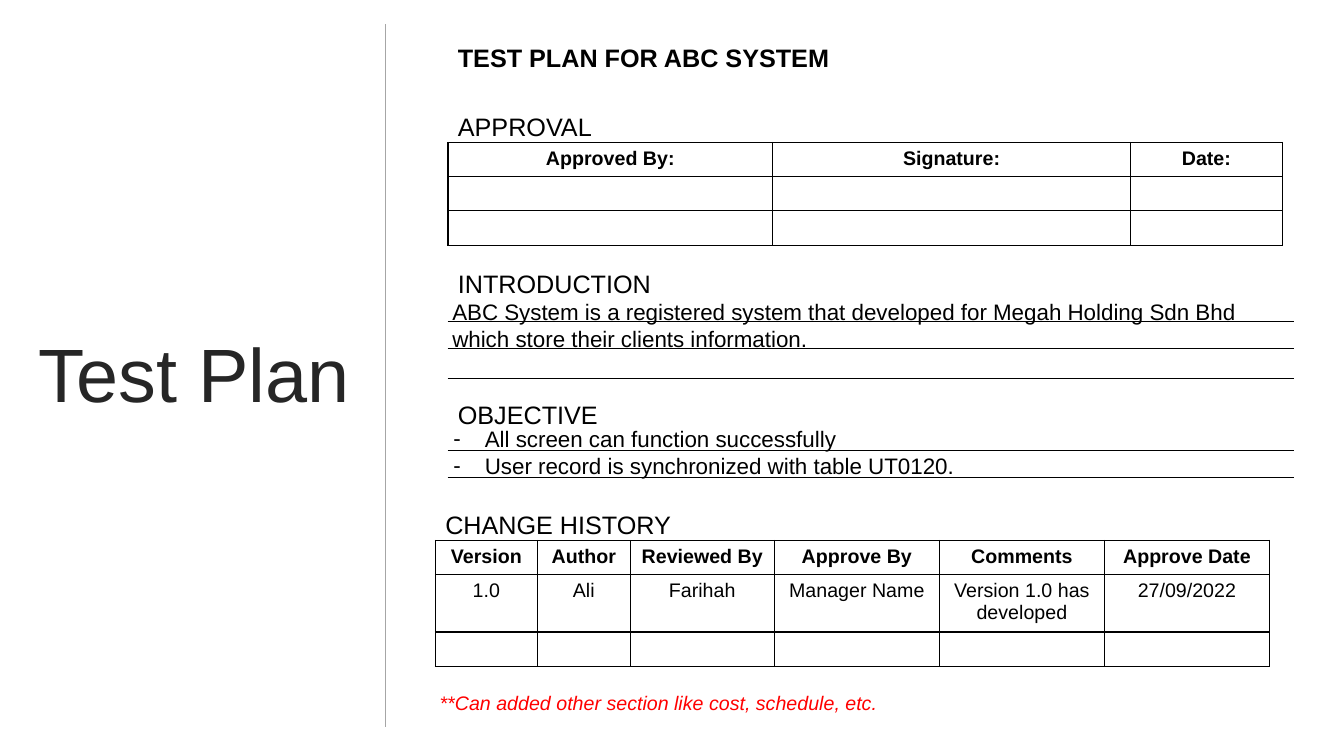
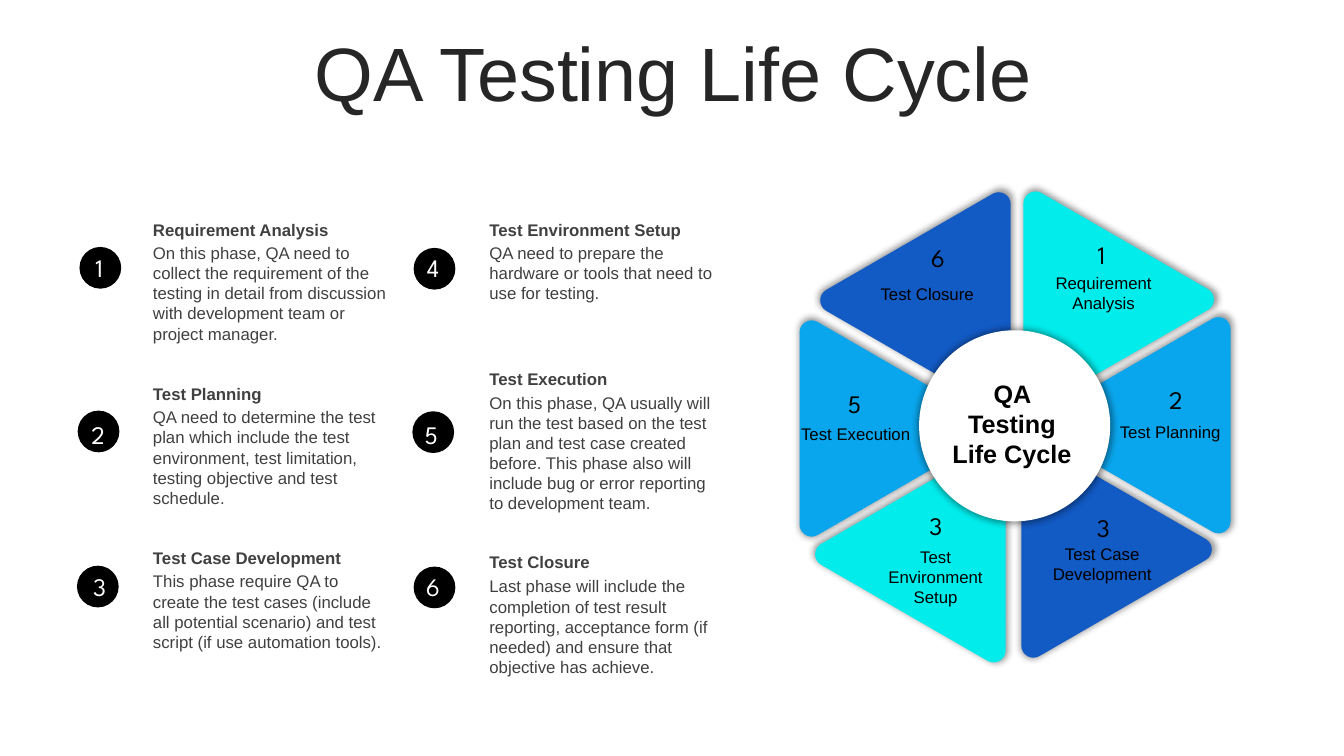
"""Build a test plan slide and a testing life cycle slide."""
import math

from lxml import etree
from pptx import Presentation
from pptx import util as u
from pptx.dml import color
from pptx.enum import shapes, text
from pptx.oxml import ns

COLORS = {
    "white": "FFFFFF", "black": "000000", "title": "262626", "body": "404040",
    "rule": "A6A6A6", "alert": "FF0000",
    "cyan": "02ECEC", "sky": "0AA6ED", "royal": "125AC4",
}
CENTER = text.PP_ALIGN.CENTER
LEFT = text.PP_ALIGN.LEFT


def rgb(name):
    return color.RGBColor.from_string(COLORS[name])


def points(*values):
    return [u.Pt(value) for value in values]


def write(frame, *lines, size=12, tint="black", font="Arial", bold=False, italic=False,
          align=LEFT, before=0, spacing=1.0, bullet=None, indent=22.5):
    for index, line in enumerate(lines):
        para = frame.add_paragraph() if index else frame.paragraphs[0]
        para.alignment = align
        para.line_spacing = spacing
        para.space_before = u.Pt(before)
        span = para.add_run()
        span.text = line
        span.font.size = u.Pt(size)
        span.font.name = font
        span.font.bold = bold
        span.font.italic = italic
        span.font.color.rgb = rgb(tint)
        if bullet:
            props = para._p.get_or_add_pPr()
            props.set("marL", str(u.Pt(indent)))
            props.set("indent", str(-u.Pt(indent)))
            etree.SubElement(props, ns.qn("a:buChar"), char=bullet)


class Deck:
    def __init__(self):
        self.deck = Presentation()
        self.deck.slide_width, self.deck.slide_height = points(960, 540)
        self.page = None

    def add_page(self, layout):
        self.page = self.deck.slides.add_slide(self.deck.slide_layouts[layout])

    def place(self, holder, left, top, width, height):
        holder.left, holder.top, holder.width, holder.height = points(left, top, width, height)
        holder.text_frame.auto_size = text.MSO_AUTO_SIZE.NONE
        return holder.text_frame

    def title(self, content, *place):
        frame = self.place(self.page.shapes.title, *place)
        frame.vertical_anchor = text.MSO_ANCHOR.MIDDLE
        write(frame, content, size=54, tint="title", align=CENTER, before=10, spacing=0.9)

    def bullets(self, items, *place):
        frame = self.place(self.page.placeholders[1], *place)
        write(frame, *items, size=16, bullet="-")

    def label(self, content, left, top, width, height, group=None, **style):
        parent = group or self.page
        box = parent.shapes.add_textbox(*points(left, top, width, height))
        box.text_frame.word_wrap = True
        box.text_frame.auto_size = text.MSO_AUTO_SIZE.SHAPE_TO_FIT_TEXT
        write(box.text_frame, content, **style)

    def digit(self, number, left, top, tint="black"):
        self.label(str(number), left, top, 55.5, 29, size=18, tint=tint,
                   font="League Spartan", align=CENTER)

    def rule(self, x1, y1, x2, y2, tint="black"):
        line = self.page.shapes.add_connector(
            shapes.MSO_CONNECTOR.STRAIGHT, *points(x1, y1, x2, y2))
        line.line.width = u.Pt(0.5)
        line.line.color.rgb = rgb(tint)
        etree.SubElement(line._element.spPr, ns.qn("a:effectLst"))

    def paint(self, shape, fill, outline=None, glow=False):
        shape.fill.solid()
        shape.fill.fore_color.rgb = rgb(fill)
        if outline:
            shape.line.color.rgb = rgb(outline)
            shape.line.width = u.Pt(1)
        else:
            shape.line.fill.background()
        shape.shadow.inherit = False
        if glow:
            effects = shape._element.spPr.find(ns.qn("a:effectLst"))
            shadow = etree.SubElement(effects, ns.qn("a:outerShdw"), blurRad=str(u.Pt(5)),
                                      sx="102000", sy="102000", algn="ctr", rotWithShape="0")
            tone = etree.SubElement(shadow, ns.qn("a:srgbClr"), val=COLORS["black"])
            etree.SubElement(tone, ns.qn("a:alpha"), val="40000")

    def circle(self, left, top, diameter, fill, **style):
        shape = self.page.shapes.add_shape(
            shapes.MSO_SHAPE.OVAL, *points(left, top, diameter, diameter))
        self.paint(shape, fill, **style)

    def petal(self, x, y, heading, fill, reach=79.2, radius=8.64):
        pull = radius * 4 / 3 * math.tan(math.radians(30))
        outline = []
        for corner in (heading, heading + 120, heading + 240):
            turn = math.radians(corner)
            for side, steps in ((-1, (0, pull)), (1, (-pull, 0))):
                angle = turn + side * math.radians(60)
                for step in steps:
                    outline.append(points(
                        x + reach * math.cos(turn) + radius * math.cos(angle)
                        - step * math.sin(angle),
                        y + reach * math.sin(turn) + radius * math.sin(angle)
                        + step * math.cos(angle)))
        builder = self.page.shapes.build_freeform(*outline[0], scale=1.0)
        builder.add_line_segments(outline[1:], close=True)
        shape = builder.convert_to_shape()
        segments = shape._element.findall(".//" + ns.qn("a:lnTo"))
        for first in range(0, len(segments), 4):
            curve = etree.Element(ns.qn("a:cubicBezTo"))
            segments[first].addprevious(curve)
            for segment in segments[first:first + 3]:
                curve.append(segment[0])
                segment.getparent().remove(segment)
        shape.rotation = 330
        self.paint(shape, fill, glow=True)

    def table(self, left, top, widths, heights, rows):
        frame = self.page.shapes.add_table(
            len(heights), len(widths), *points(left, top, sum(widths), sum(heights)))
        grid = frame.table
        grid.first_row = grid.horz_banding = False
        for column, width in zip(grid.columns, widths):
            column.width = u.Pt(width)
        for row, height in zip(grid.rows, heights):
            row.height = u.Pt(height)
        for r in range(len(heights)):
            for c in range(len(widths)):
                self.cell(grid.cell(r, c), rows[r][c] if r < len(rows) else None, r == 0)

    def cell(self, cell, content, bold):
        props = cell._tc.get_or_add_tcPr()
        for side in ("lnL", "lnR", "lnT", "lnB"):
            border = etree.SubElement(props, ns.qn("a:" + side), w=str(u.Pt(1)))
            solid = etree.SubElement(border, ns.qn("a:solidFill"))
            etree.SubElement(solid, ns.qn("a:srgbClr"), val=COLORS["black"])
        cell.fill.solid()
        cell.fill.fore_color.rgb = rgb("white")
        if content:
            write(cell.text_frame, content, size=14, bold=bold, align=CENTER)
        else:
            para = cell.text_frame.paragraphs[0]
            etree.SubElement(para._p, ns.qn("a:endParaRPr"), sz="1400")


def build_plan(deck):
    deck.add_page(1)
    deck.title("Test Plan", 11.9, 241.6, 253.5, 57)
    deck.rule(275, 17.5, 275, 519.6, tint="rule")
    deck.label("TEST PLAN FOR ABC SYSTEM", 320, 26.5, 482.5, 29, size=18, bold=True)
    for heading, top in (("APPROVAL", 75.6), ("INTRODUCTION", 188)):
        deck.label(heading, 320, top, 160, 29, size=18)
    for y in (229.7, 249, 270, 321.8, 341.3):
        deck.rule(319.7, y, 924.5, y)
    deck.table(320, 101.7, (232, 255.5, 108.5), (24.48,) * 3,
               [("Approved By:", "Signature:", "Date:")])
    for heading, left, top in (("OBJECTIVE", 320, 282), ("CHANGE HISTORY", 311, 360)):
        deck.label(heading, left, top, 210, 29, size=18)
    deck.table(311, 386, (72.9, 66.3, 103, 117.9, 117.9, 117.9), (24.48, 41, 24.48), [
        ("Version", "Author", "Reviewed By", "Approve By", "Comments", "Approve Date"),
        ("1.0", "Ali", "Farihah", "Manager Name", "Version 1.0 has developed", "27/09/2022"),
    ])
    deck.bullets(("All screen can function successfully",
                  "User record is synchronized with table UT0120."), 316.6, 300.3, 604, 46)
    deck.label("ABC System is a registered system that developed for Megah Holding Sdn Bhd "
               "which store their clients information.", 316, 209.2, 604, 46, size=16)
    deck.label("**Can added other section like cost, schedule, etc.",
               306.9, 490.3, 604, 24.5, size=14, tint="alert", italic=True)


def build_cycle(deck):
    petals = (
        (767.5, 395.3, 270, "royal"), (680.4, 393.2, 90, "cyan"), (609.1, 308.8, 270, "sky"),
        (684, 211.8, 90, "royal"), (769, 216.7, 270, "cyan"), (841, 301, 90, "sky"),
    )
    names = (
        ("Requirement Analysis", 735.8, 191.5, 36), ("Test Planning", 783.4, 298, 21.6),
        ("Test Case Development", 734.8, 384.8, 36), ("Test Environment Setup", 615.8, 387, 51),
        ("Test Execution", 558.7, 299.2, 21.6), ("Test Closure", 609.8, 199, 21.6),
    )
    digits = ((5, 582.7, 273.6), (6, 642.4, 169.7), (1, 759.1, 167.3),
              (2, 812.2, 270.7), (3, 760.3, 362.2), (3, 640.8, 360.7))
    phases = (
        ("Requirement Analysis", 102.2, 153.4, 169.8, 5,
         "On this phase, QA need to collect the requirement of the testing in detail "
         "from discussion with development team or project manager."),
        ("Test Planning", 102.2, 270.7, 287.2, 5,
         "QA need to determine the test plan which include the test environment, "
         "test limitation, testing objective and test schedule."),
        ("Test Case Development", 102.2, 387.6, 404.4, 4,
         "This phase require QA to create the test cases (include all potential scenario) "
         "and test script (if use automation tools)."),
        ("Test Environment Setup", 342.5, 153.4, 169.8, 3,
         "QA need to prepare the hardware or tools that need to use for testing."),
        ("Test Execution", 342.5, 260, 276.7, 6,
         "On this phase, QA usually will run the test based on the test plan and test case "
         "created before. This phase also will include bug or error reporting to "
         "development team."),
        ("Test Closure", 342.5, 390.6, 408, 5,
         "Last phase will include the completion of test result reporting, acceptance form "
         "(if needed) and ensure that objective has achieve."),
    )
    dots = (
        (57.3, 176.9, 43.2, 176.8), (56, 293.8, 42.5, 295.9), (55.5, 404.6, 43.4, 404.6),
        (296, 177.6, 281.5, 176.9), (295.1, 294.3, 280.3, 295.9), (296, 405.2, 281.5, 404.6),
    )
    deck.add_page(5)
    deck.title("QA Testing Life Cycle", 25.2, 26.6, 911.5, 57)
    for petal in petals:
        deck.petal(*petal)
    deck.circle(656.5, 235.9, 136.5, "white", glow=True)
    for name, left, top, detail_top, lines, detail in phases:
        group = deck.page.shapes.add_group_shape()
        deck.label(detail, left, detail_top, 182.2, 7.2 + 14.5 * lines, group=group, tint="body")
        deck.label(name, left, top, 182.2, 21.6, group=group, tint="body", bold=True)
    deck.label("QA Testing Life Cycle", 670.3, 266.4, 105.1, 72.7,
               size=18, bold=True, align=CENTER)
    for name, left, top, height in names:
        deck.label(name, left, top, 105.1, height, align=CENTER)
    for digit in digits:
        deck.digit(*digit)
    for number, (left, top, digit_left, digit_top) in enumerate(dots, 1):
        deck.circle(left, top, 28.8, "black", outline="black")
        deck.digit(number, digit_left, digit_top, tint="white")


def main():
    deck = Deck()
    build_plan(deck)
    build_cycle(deck)
    deck.deck.save("out.pptx")


if __name__ == "__main__":
    main()
